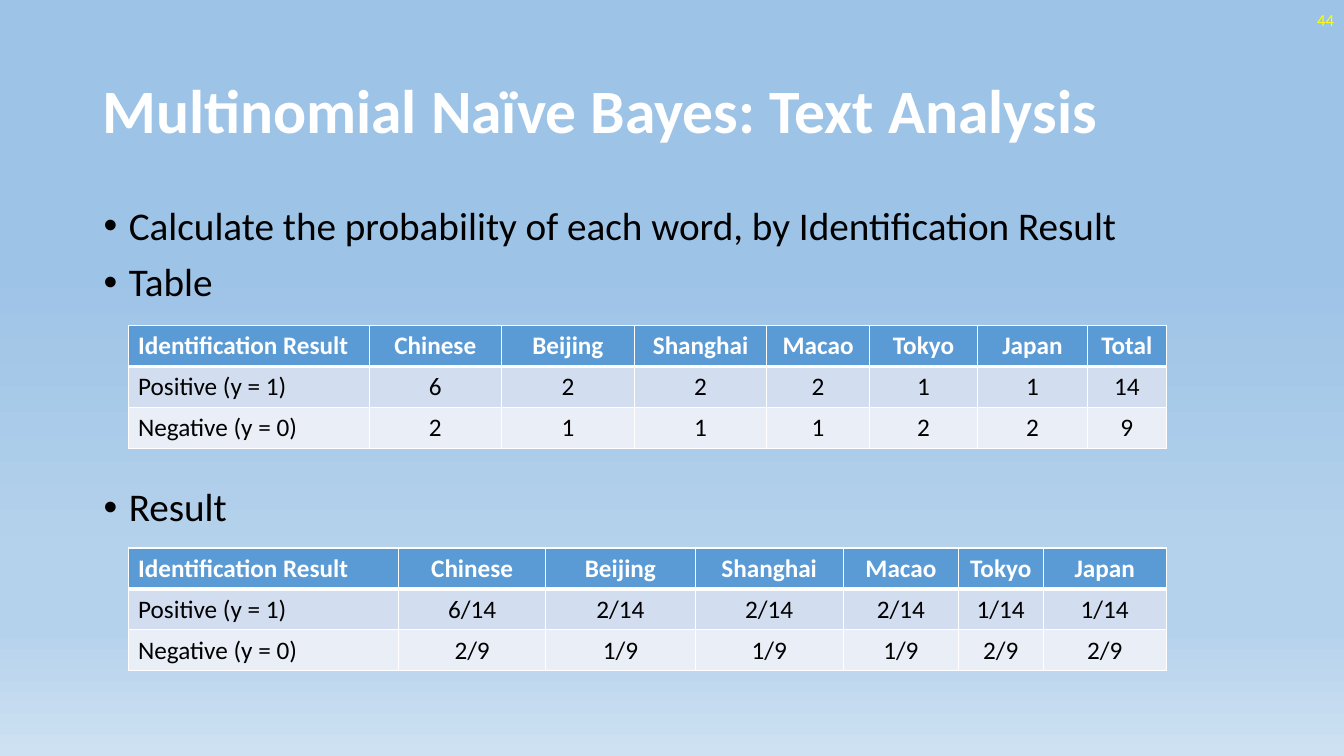
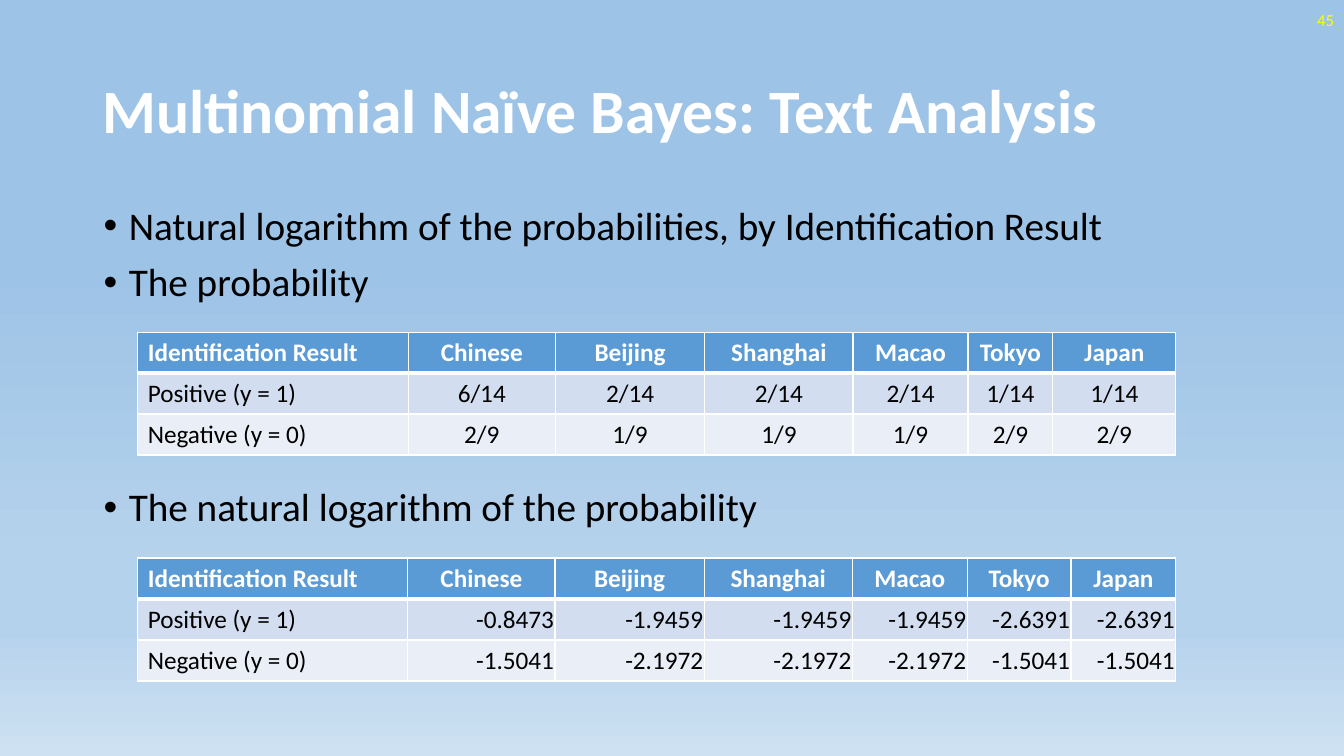
from lxml import etree
from pptx import Presentation
from pptx import util as u
from pptx.dml.color import RGBColor
from pptx.enum import text
from pptx.oxml import ns

FONT = "Calibri"
WHITE, BLACK, YELLOW = "FFFFFF", "000000", "FFFF00"
ROW_FILLS = ["5B9BD5", "D2DEEF", "EAEFF7"]
SKY = [(35, "9DC3E6"), (74, "B5D2EC"), (83, "B5D2EC"), (100, "CEE1F2")]
LEFT, CENTER, RIGHT = text.PP_ALIGN.LEFT, text.PP_ALIGN.CENTER, text.PP_ALIGN.RIGHT
MIDDLE, TOP = text.MSO_ANCHOR.MIDDLE, text.MSO_ANCHOR.TOP

TITLE = "Multinomial Naïve Bayes: Text Analysis"
WORDS = ["Chinese", "Beijing", "Shanghai", "Macao", "Tokyo", "Japan"]
ROW_LABELS = ["Identification Result", "Positive (y = 1)", "Negative (y = 0)"]

# Column widths are relative shares of the table width.
count_table = {
    "shares": [239, 131, 132, 131, 102, 107, 109, 78],
    "rows": [WORDS + ["Total"], "6 2 2 2 1 1 14".split(), "2 1 1 1 2 2 9".split()],
    "align": CENTER,
}
probability_table = {
    "shares": [268, 146, 148, 147, 114, 84, 122],
    "rows": [WORDS, "6/14 2/14 2/14 2/14 1/14 1/14".split(),
             "2/9 1/9 1/9 1/9 2/9 2/9".split()],
    "align": CENTER,
}
logarithm_table = {
    "shares": [268, 146, 148, 147, 114, 103, 104],
    "rows": [WORDS, "-0.8473 -1.9459 -1.9459 -1.9459 -2.6391 -2.6391".split(),
             "-1.5041 -2.1972 -2.1972 -2.1972 -1.5041 -1.5041".split()],
    "align": RIGHT,
}
# Table left and tops are in grid units.
pages = [
    {"number": "44", "left": 15.25, "tables": [(38.75, count_table), (65.25, probability_table)],
     "bullets": ["Calculate the probability of each word, by Identification Result",
                 "Table", "Result"]},
    {"number": "45", "left": 16.4, "tables": [(39.55, probability_table), (66.45, logarithm_table)],
     "bullets": ["Natural logarithm of the probabilities, by Identification Result",
                 "The probability", "The natural logarithm of the probability"]},
]


def colour(hex_string):
    return RGBColor.from_string(hex_string)


def add_run(paragraph, words, size, hex_string, bold=False, align=LEFT):
    paragraph.alignment = align
    run = paragraph.add_run()
    run.text = words
    run.font.name, run.font.size, run.font.bold = FONT, u.Pt(size), bold
    run.font.color.rgb = colour(hex_string)


presentation = Presentation()
presentation.slide_width, presentation.slide_height = u.Inches(13.33), u.Inches(7.5)
UNIT = presentation.slide_width / 160  # grid of 160 columns by 90 rows
TABLE_WIDTH, ROW_HEIGHT = 123.6, 4.88

# The master carries the sky gradient for every slide.
master = presentation.slide_master
master.background.fill.gradient()
master.background.fill.gradient_angle = 270
stops = master.element.find(".//" + ns.qn("a:gsLst"))
for stop in list(stops):
    stops.remove(stop)
for position, hex_string in SKY:
    stop = etree.SubElement(stops, ns.qn("a:gs"), pos=str(position * 1000))
    etree.SubElement(stop, ns.qn("a:srgbClr"), val=hex_string)

for page in pages:
    slide = presentation.slides.add_slide(presentation.slide_layouts[6])

    frames = []
    for box, anchor in [((11, 4.8, 138, 17.4), MIDDLE), ((11.15, 24, 138, 57.1), TOP),
                        ((124, 0, 36, 4.8), MIDDLE)]:
        shape = slide.shapes.add_textbox(*[int(UNIT * length) for length in box])
        shape.text_frame.word_wrap = True
        shape.text_frame.vertical_anchor = anchor
        frames.append(shape.text_frame)
    title, body, number = frames

    add_run(title.paragraphs[0], TITLE, 44, WHITE, bold=True)
    title.paragraphs[0].line_spacing = 0.9
    add_run(number.paragraphs[0], page["number"], 12, YELLOW, align=RIGHT)

    # The last bullet leaves room for the first table.
    for index, (bullet, space) in enumerate(zip(page["bullets"], [10, 10, 130.5])):
        paragraph = body.add_paragraph() if index else body.paragraphs[0]
        add_run(paragraph, bullet, 28, BLACK)
        paragraph.line_spacing, paragraph.space_before = 0.9, u.Pt(space)
        properties = paragraph._p.get_or_add_pPr()
        properties.set("marL", str(u.Inches(0.25)))
        properties.set("indent", str(-u.Inches(0.25)))
        etree.SubElement(properties, ns.qn("a:buFont"), typeface="Arial")
        etree.SubElement(properties, ns.qn("a:buChar"), char="•")

    for top, content in page["tables"]:
        shares, rows = content["shares"], content["rows"]
        box = page["left"], top, TABLE_WIDTH, ROW_HEIGHT * len(rows)
        table = slide.shapes.add_table(len(rows), len(shares),
                                       *[int(UNIT * length) for length in box]).table
        for column, share in zip(table.columns, shares):
            column.width = int(UNIT * TABLE_WIDTH * share / sum(shares))
        for r, (label, values) in enumerate(zip(ROW_LABELS, rows)):
            table.rows[r].height = int(UNIT * ROW_HEIGHT)
            header = r == 0
            for c, words in enumerate([label] + values):
                cell = table.cell(r, c)
                cell.vertical_anchor = MIDDLE
                align = LEFT if c == 0 else CENTER if header else content["align"]
                if align == RIGHT:
                    cell.margin_left = cell.margin_right = cell.margin_top = u.Inches(0.01)
                    cell.margin_bottom = 0
                add_run(cell.text_frame.paragraphs[0], words, 18,
                        WHITE if header else BLACK, header, align)
                # The rule under the header is thicker than the others.
                for side, points in [("L", 1), ("R", 1), ("T", 3 if r == 1 else 1),
                                     ("B", 3 if header else 1)]:
                    border = etree.SubElement(cell._tc.get_or_add_tcPr(), ns.qn("a:ln" + side),
                                              w=str(u.Pt(points)))
                    fill = etree.SubElement(border, ns.qn("a:solidFill"))
                    etree.SubElement(fill, ns.qn("a:srgbClr"), val=WHITE)
                cell.fill.solid()
                cell.fill.fore_color.rgb = colour(ROW_FILLS[r])

presentation.save("out.pptx")
